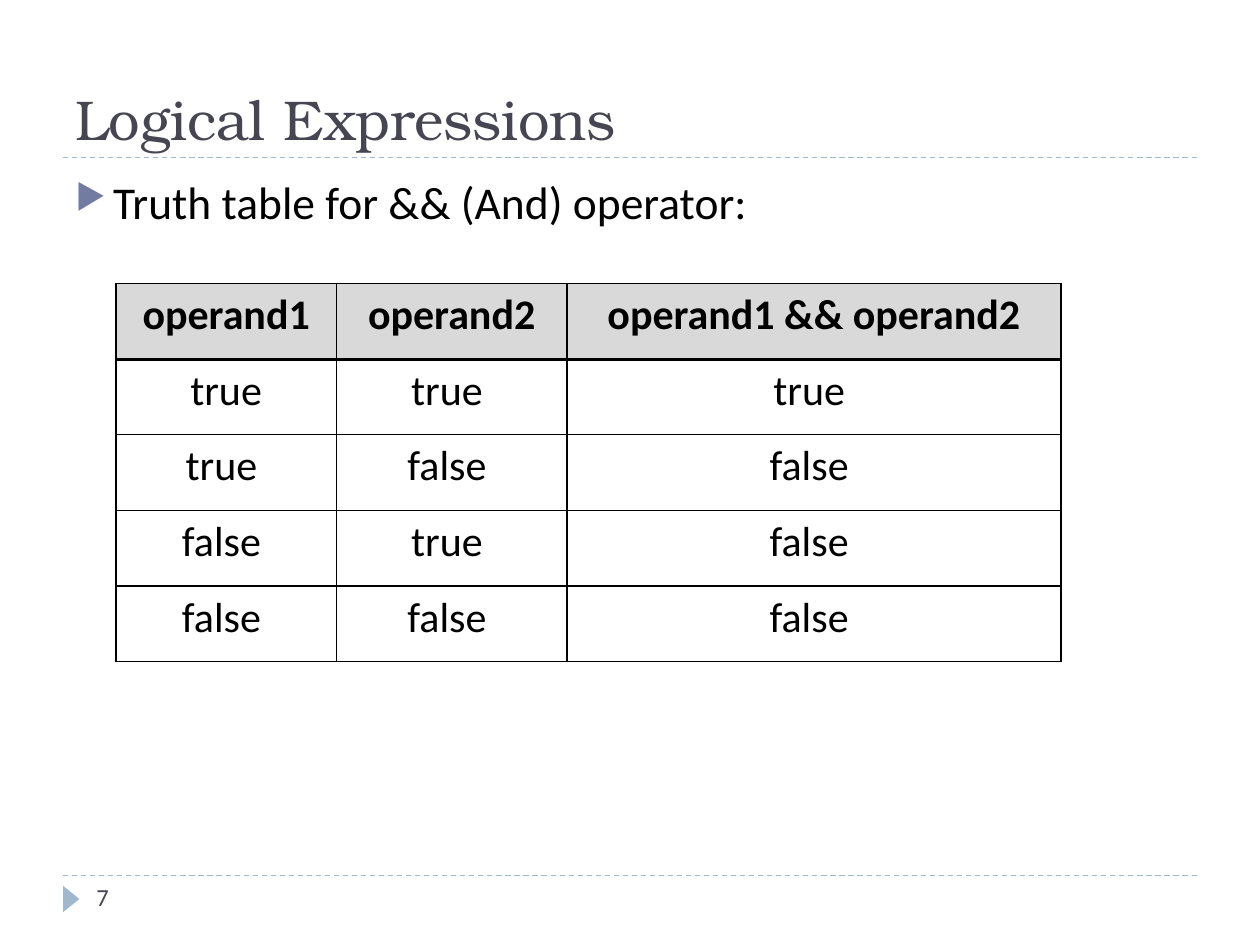
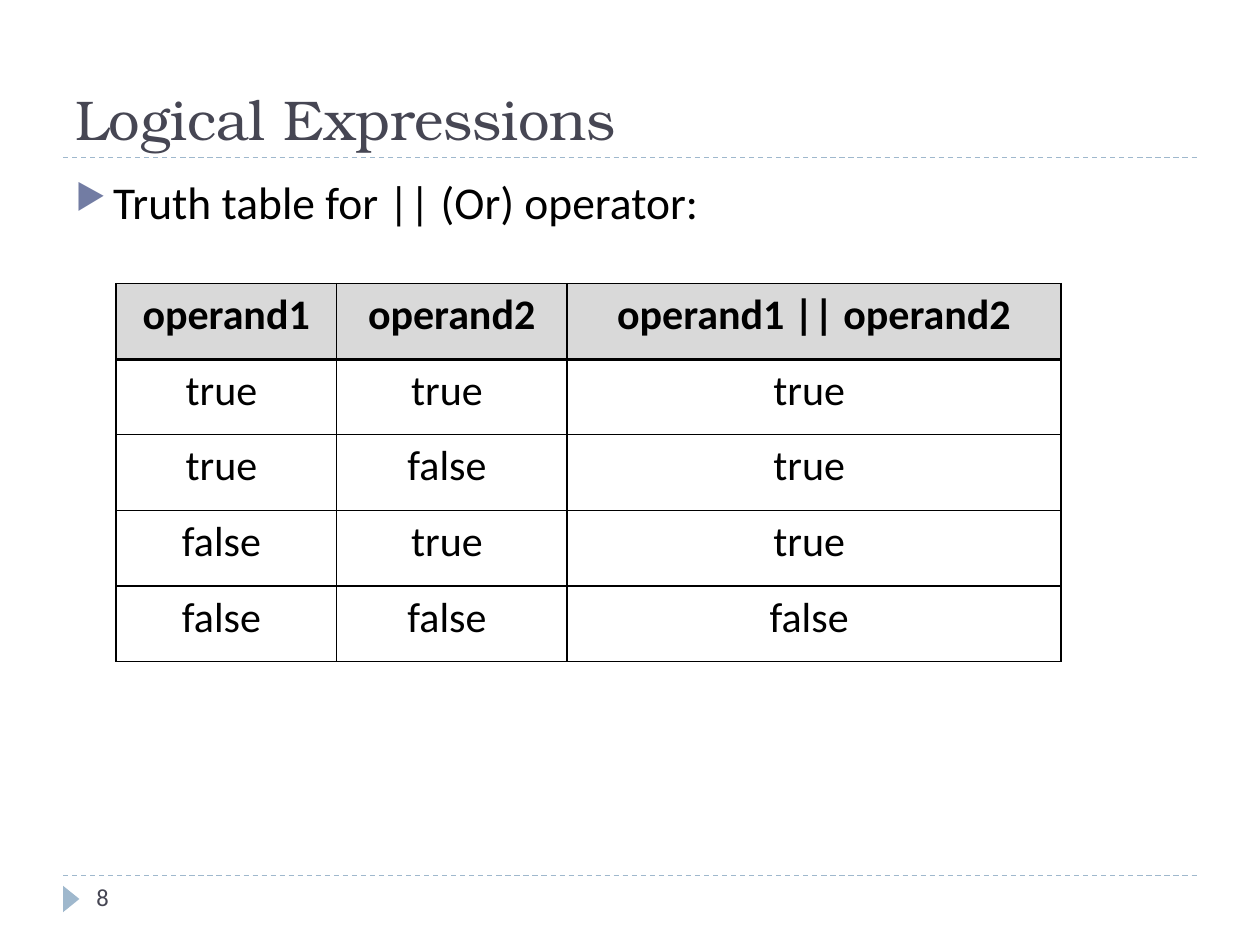
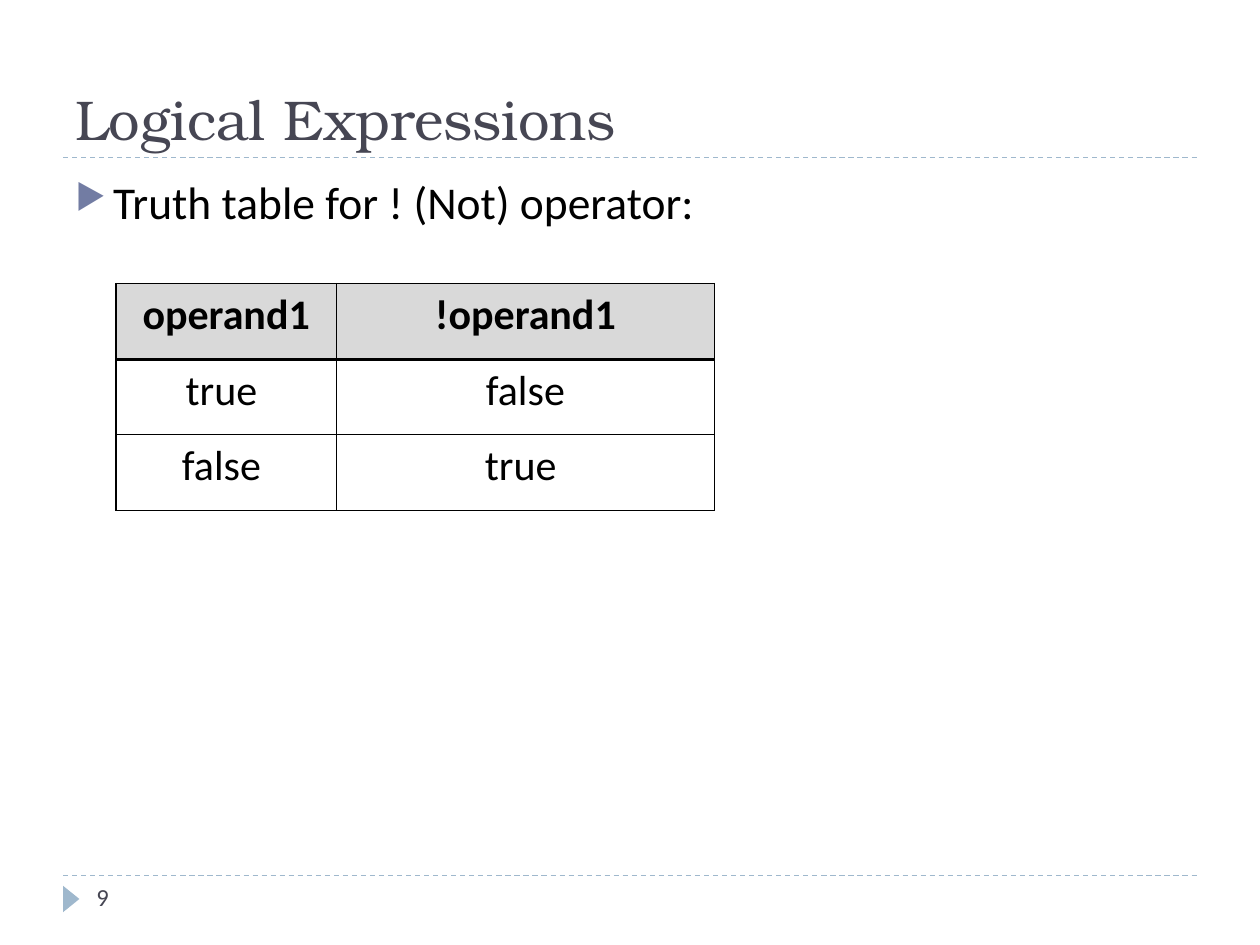
from lxml.etree import SubElement as Sub
from pptx import Presentation
from pptx.dml.color import RGBColor
from pptx.enum.dml import MSO_LINE as Dash
from pptx.enum.shapes import MSO_CONNECTOR as Conn, MSO_SHAPE as Shape
from pptx.enum.text import MSO_ANCHOR as Anchor, PP_ALIGN as Align
from pptx.oxml import parse_xml
from pptx.oxml.ns import nsdecls, qn
from pptx.util import Inches, Pt

# Shared look
SLATE, SKY, INDIGO = "464653", "9FB8CD", "727CA3"
BLACK, WHITE, GREY = "000000", "FFFFFF", "D9D9D9"
SERIF, SANS = "TeX Gyre Bonum", "Calibri"

# Slide and its grid: 20 columns, 30 rows
W, H = Inches(10), Inches(7.5)
COL, ROW = W // 20, H // 30
LEFT, RIGHT, WIDE = COL, 19 * COL, 18 * COL
HEAD, FOOT = 5 * ROW, Inches(6.95)
CELL = Inches(0.6)


def color(code):
    return RGBColor.from_string(code)


def write(par, text, size, font, code, bold=False):
    run = par.add_run()
    run.text = text
    run.font.size, run.font.name, run.font.bold = Pt(size), font, bold
    run.font.color.rgb = color(code)


# Lead text, column widths in inches, table rows; a final space is part of a cell's text
TRUE, FALSE = "true ", "false "
pages = [
    ("Truth table for && (And) operator:", [1.75, 1.83, 3.92], [
        ["operand1", "operand2", "operand1 && operand2"],
        ["true", TRUE, TRUE],
        [TRUE, FALSE, FALSE],
        [FALSE, TRUE, FALSE],
        [FALSE, FALSE, FALSE]]),
    ("Truth table for || (Or) operator:", [1.75, 1.83, 3.92], [
        ["operand1", "operand2", "operand1 || operand2"],
        [TRUE, TRUE, TRUE],
        [TRUE, FALSE, TRUE],
        [FALSE, TRUE, TRUE],
        [FALSE, FALSE, FALSE]]),
    ("Truth table for ! (Not) operator:", [1.75, 3], [
        ["operand1", "!operand1"],
        [TRUE, "false"],
        [FALSE, TRUE]]),
]

deck = Presentation()
deck.slide_width, deck.slide_height = W, H

for num, (lead, cols, data) in enumerate(pages, 7):
    slide = deck.slides.add_slide(deck.slide_layouts[6])
    shapes = slide.shapes

    # Dashed rules
    for y in (FOOT, HEAD):
        rule = shapes.add_connector(Conn.STRAIGHT, LEFT, y, RIGHT, y)
        rule.line.color.rgb = color(SKY)
        rule.line.width, rule.line.dash_style = Pt(0.75), Dash.DASH
        Sub(rule._element.spPr, qn("a:effectLst"))

    # Footer marker
    mark = shapes.add_shape(Shape.ISOSCELES_TRIANGLE, Inches(0.46),
                            Inches(7.07), Inches(0.21), Inches(0.13))
    mark.rotation, mark.shadow.inherit = 90, False
    mark.fill.solid()
    mark.fill.fore_color.rgb = color(SKY)
    mark.line.fill.background()

    # Title, lead and page number
    boxes = []
    for x, y, wide, high in [(LEFT, Inches(0.17), WIDE, Inches(1.08)),
                             (LEFT, Inches(1.33), WIDE, Inches(5.4)),
                             (W // 15, FOOT, Inches(2.17), Inches(0.4))]:
        frame = shapes.add_textbox(x, y, wide, high).text_frame
        frame.word_wrap = True
        boxes.append(frame)
    title, body, page = boxes
    title.vertical_anchor = Anchor.BOTTOM
    write(title.paragraphs[0], "Logical Expressions", 32, SERIF, SLATE)
    write(page.paragraphs[0], str(num), 14, SANS, SLATE)

    par = body.paragraphs[0]
    props = par._p.get_or_add_pPr()
    props.set("marL", str(Inches(0.3)))
    props.set("indent", str(-Inches(0.3)))
    tint = Sub(props, qn("a:buClr"))
    Sub(tint, qn("a:srgbClr"), val=INDIGO)
    Sub(props, qn("a:buSzPct"), val="76000")
    Sub(props, qn("a:buChar"), char="▶")
    write(par, lead, 26, SANS, BLACK)

    # Truth table
    grid = shapes.add_table(len(data), len(cols), Inches(0.92), 9 * ROW,
                            Inches(sum(cols)), CELL * len(data)).table
    for col, wide in zip(grid.columns, cols):
        col.width = Inches(wide)
    for r, line in enumerate(data):
        grid.rows[r].height = CELL
        for c, text in enumerate(line):
            cell = grid.cell(r, c)
            cell.fill.solid()
            cell.fill.fore_color.rgb = color(WHITE if r else GREY)
            par = cell.text_frame.paragraphs[0]
            par.alignment = Align.CENTER
            write(par, text, 24, SANS, BLACK, bold=r == 0)
            # The rule under the header is twice as thick
            props = cell._tc.get_or_add_tcPr()
            for i, side in enumerate("LRTB"):
                thick = 2 if (r, side) in [(0, "B"), (1, "T")] else 1
                props.insert(i, parse_xml(
                    f'<a:ln{side} {nsdecls("a")} w="{Pt(thick)}"><a:solidFill>'
                    f'<a:srgbClr val="{BLACK}"/></a:solidFill></a:ln{side}>'))

deck.save("out.pptx")
